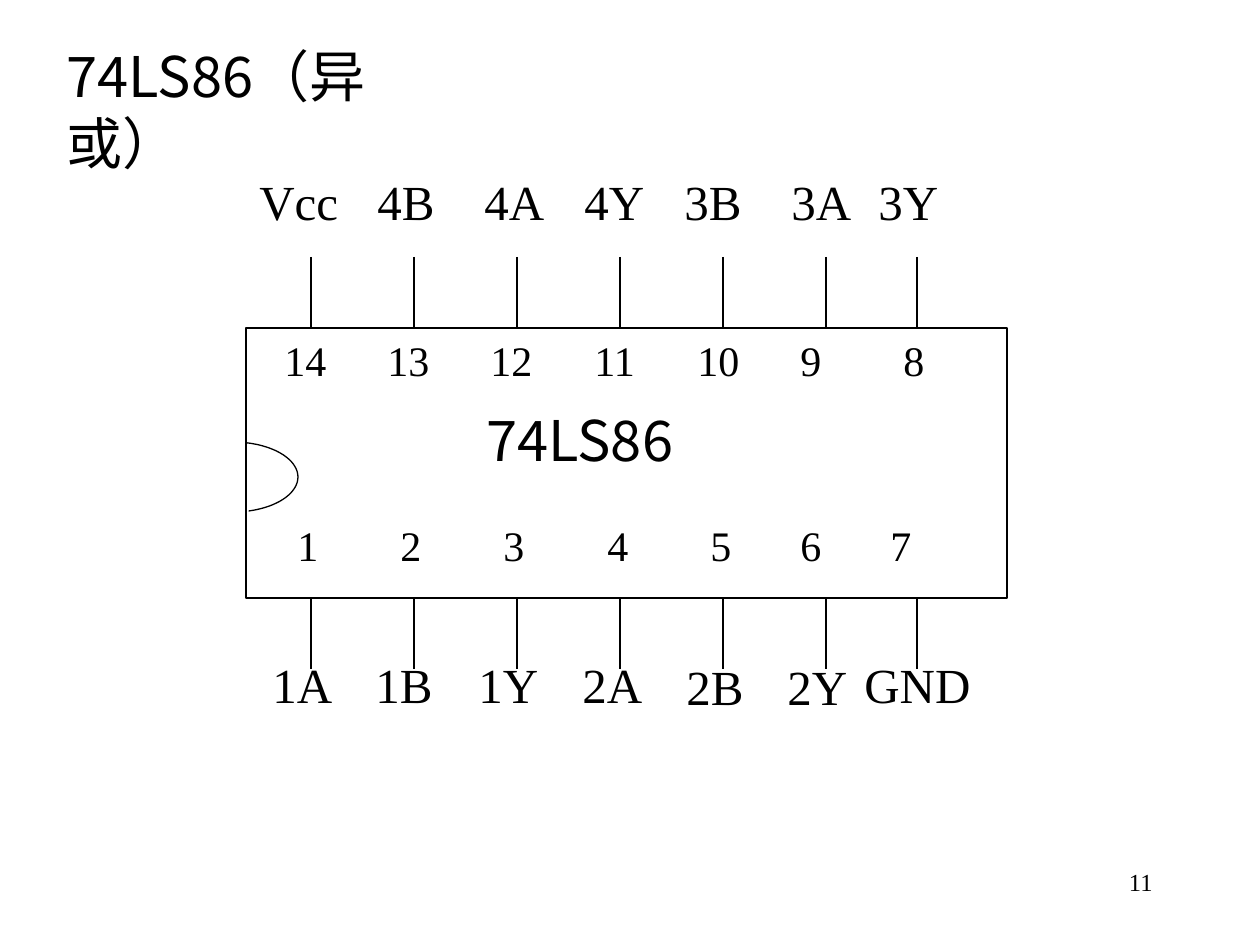
from dataclasses import dataclass
from math import cos, radians, sin
from typing import NamedTuple

from lxml.etree import SubElement
from pptx import Presentation
from pptx.dml.color import RGBColor
from pptx.enum.shapes import MSO_CONNECTOR, MSO_SHAPE
from pptx.enum.text import MSO_ANCHOR, MSO_AUTO_SIZE, PP_ALIGN
from pptx.oxml.ns import qn
from pptx.util import Emu, Pt

EMU_PER_PX = 914400 / 126


@dataclass(frozen=True)
class Theme:
    ink: RGBColor = RGBColor(0, 0, 0)
    serif: str = "Times New Roman"
    sans: str = "Noto Sans CJK SC"
    heading: int = 32
    signal: int = 28
    number: int = 24
    footer: int = 14
    line: float = 0.75


class Box(NamedTuple):
    left: int
    top: int
    width: int
    height: int


class Pin(NamedTuple):
    number: int
    signal: str
    number_left: int
    signal_left: int
    signal_top: int
    signal_width: int


class PinRow(NamedTuple):
    pins: list[Pin]
    number_top: int
    lead_top: int


THEME = Theme()
BODY = Box(246, 328, 761, 270)
NUMBER_HEIGHT, SIGNAL_HEIGHT, LEAD_LENGTH = 63, 72, 71
PITCH = 103
LEADS = [311 + PITCH * i for i in range(6)] + [917]

UPPER = PinRow([
    Pin(14, "Vcc", 272, 247, 165, 107),
    Pin(13, "4B", 375, 365, 165, 86),
    Pin(12, "4A", 478, 472, 165, 88),
    Pin(11, "4Y", 582, 572, 165, 88),
    Pin(10, "3B", 685, 672, 165, 86),
    Pin(9, "3A", 788, 779, 165, 88),
    Pin(8, "3Y", 891, 866, 165, 88),
], number_top=BODY.top, lead_top=BODY.top - LEAD_LENGTH)

LOWER = PinRow([
    Pin(1, "1A", 285, 260, 648, 88),
    Pin(2, "1B", 388, 363, 648, 86),
    Pin(3, "1Y", 491, 466, 648, 88),
    Pin(4, "2A", 595, 570, 648, 88),
    Pin(5, "2B", 698, 674, 650, 86),
    Pin(6, "2Y", 788, 775, 650, 88),
    Pin(7, "GND", 878, 852, 648, 135),
], number_top=513, lead_top=BODY.top + BODY.height)


def px(length: float) -> Emu:
    return Emu(round(length * EMU_PER_PX))


def write(shape, text: str, *, size: int, font: str = THEME.serif,
          align: PP_ALIGN = PP_ALIGN.LEFT, wrap: bool = False) -> None:
    """Fill a shape with one paragraph of formatted text."""
    frame = shape.text_frame
    frame.word_wrap = wrap
    frame.auto_size = MSO_AUTO_SIZE.SHAPE_TO_FIT_TEXT
    frame.vertical_anchor = MSO_ANCHOR.TOP
    paragraph = frame.paragraphs[0]
    paragraph.alignment = align
    run = paragraph.add_run()
    run.text = text
    run.font.size = Pt(size)
    run.font.color.rgb = THEME.ink
    run.font.name = font
    SubElement(run.font._element, qn("a:ea"), typeface=font)


def add_label(shapes, box: Box, text: str, **text_format) -> None:
    write(shapes.add_textbox(*map(px, box)), text, **text_format)


def outline(shape) -> None:
    shape.shadow.inherit = False
    shape.fill.background()
    shape.line.color.rgb = THEME.ink
    shape.line.width = Pt(THEME.line)


def add_lead(shapes, x: int, top: int) -> None:
    lead = shapes.add_connector(MSO_CONNECTOR.STRAIGHT, px(x), px(top),
                                px(x), px(top + LEAD_LENGTH))
    lead.line.color.rgb = THEME.ink
    lead.line.width = Pt(THEME.line)
    SubElement(lead._element.spPr, qn("a:effectLst"))


def add_notch(shapes) -> None:
    """Draw the open elliptical arc that marks the pin 1 end."""
    center_x, center_y, radius_x, radius_y = 233, 477, 65, 35
    angles = [radians(degree) for degree in range(-78, 77, 2)]
    points = [(px(center_x + radius_x * cos(a)), px(center_y + radius_y * sin(a)))
              for a in angles]
    builder = shapes.build_freeform(*points[0])
    builder.add_line_segments(points[1:], close=False)
    outline(builder.convert_to_shape())


def add_pin_row(shapes, row: PinRow) -> None:
    for pin, lead_x in zip(row.pins, LEADS):
        add_lead(shapes, lead_x, row.lead_top)
        number_width = 45 if pin.number < 10 else 67
        add_label(shapes, Box(pin.number_left, row.number_top, number_width,
                              NUMBER_HEIGHT), str(pin.number), size=THEME.number)
        add_label(shapes, Box(pin.signal_left, pin.signal_top, pin.signal_width,
                              SIGNAL_HEIGHT), pin.signal, size=THEME.signal)


def main() -> None:
    deck = Presentation()
    deck.slide_width, deck.slide_height = px(1260), px(945)
    slide = deck.slides.add_slide(deck.slide_layouts[5])

    # Title
    title = slide.shapes.title
    title.left, title.top, title.width, title.height = map(px, Box(54, 35, 427, 147))
    write(title, "74LS86（异或）", size=THEME.heading, font=THEME.sans, wrap=True)

    # Chip package with its notch and name
    chip = slide.shapes.add_group_shape().shapes
    outline(chip.add_shape(MSO_SHAPE.RECTANGLE, *map(px, BODY)))
    add_notch(chip)
    add_label(chip, Box(474, 399, 228, 81), "74LS86",
              size=THEME.heading, font=THEME.sans)

    # Pins
    for row in (LOWER, UPPER):
        add_pin_row(chip, row)

    # Slide number
    add_label(slide.shapes, Box(903, 861, 262, 63), "11",
              size=THEME.footer, align=PP_ALIGN.RIGHT, wrap=True)

    deck.save("out.pptx")


if __name__ == "__main__":
    main()
